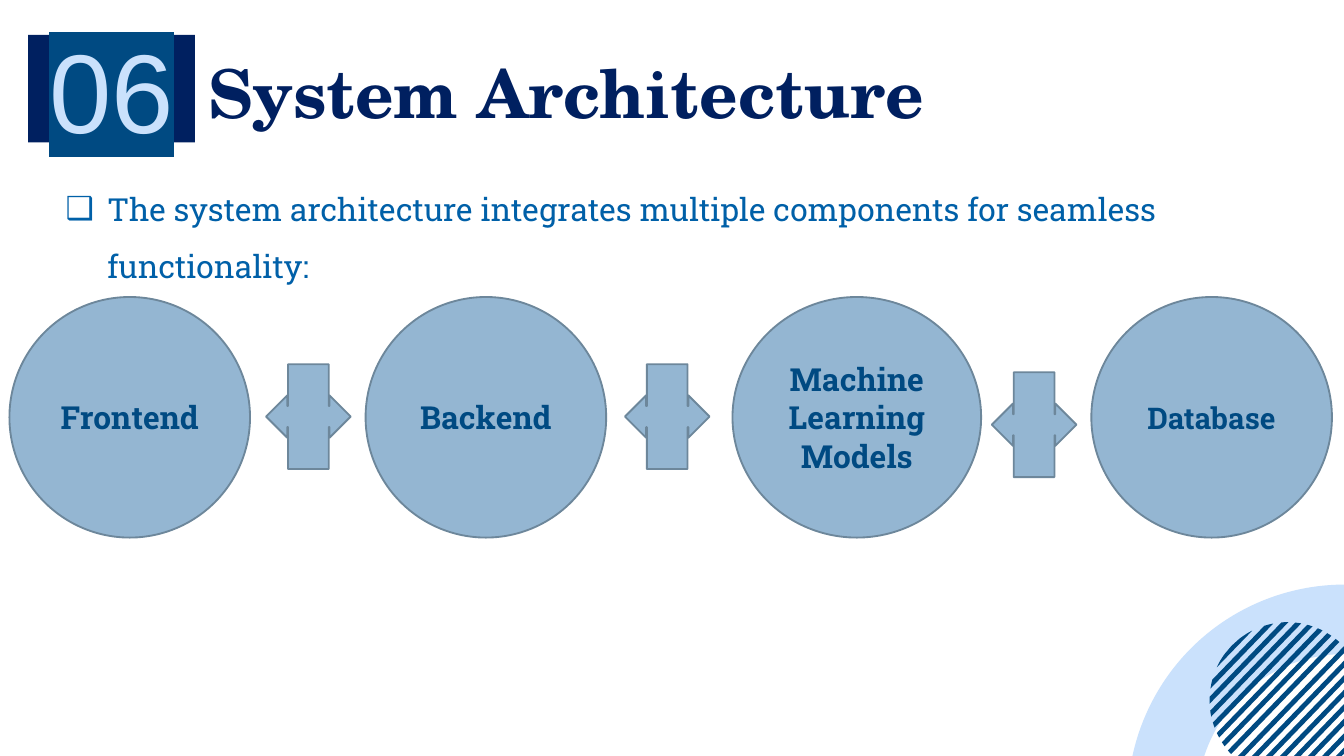
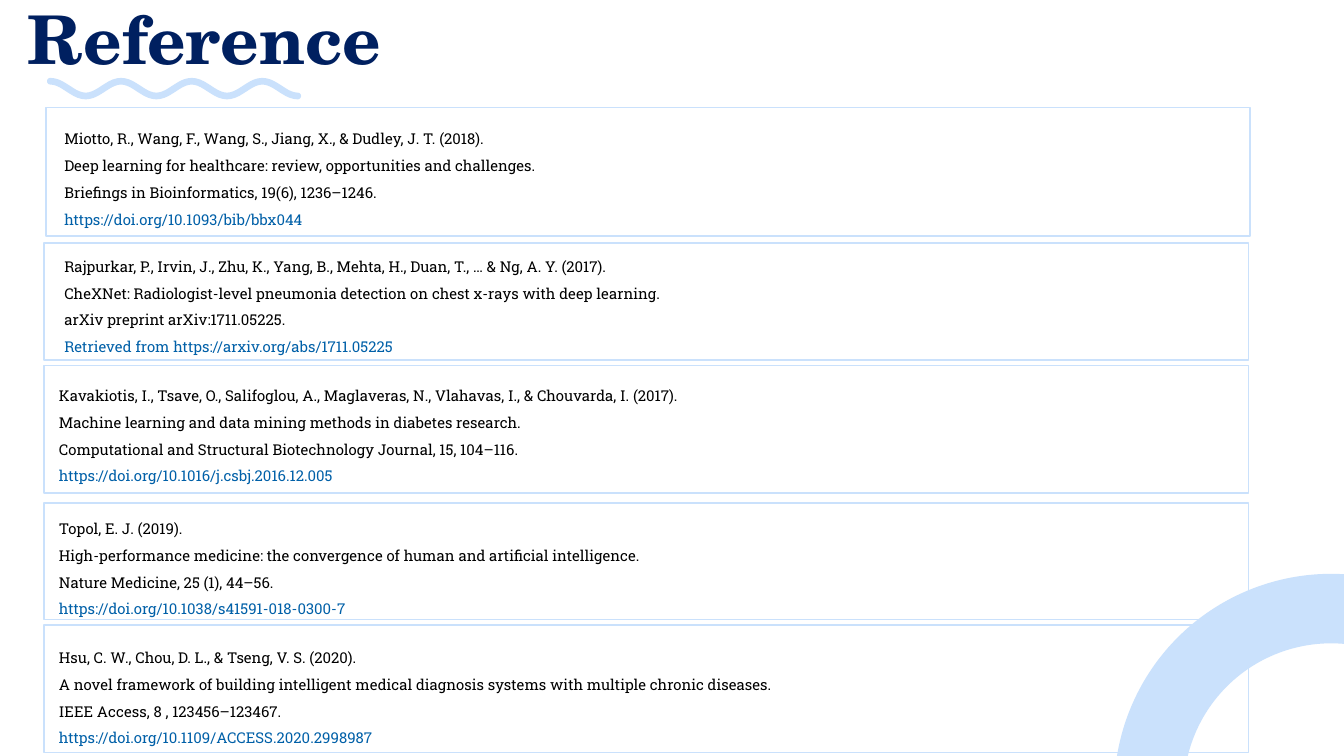
from math import acos, cos, hypot, pi, radians, sin

from lxml.etree import SubElement
from pptx import Presentation
from pptx.dml.color import RGBColor
from pptx.enum.shapes import MSO_SHAPE as Kind
from pptx.enum.text import MSO_ANCHOR as Anchor, MSO_AUTO_SIZE as AutoSize, PP_ALIGN as Align
from pptx.oxml.ns import qn
from pptx.util import Pt

PX = 9144
NAVY, DEEP, BLUE, PALE = "002060", "004A82", "0060A8", "CAE1FC"
STEEL, SLATE, BLACK = "94B6D2", "6D879B", "000000"
SLAB, SERIF, SANS = "Roboto Slab", "TeX Gyre Schola", "Arial"
colour = RGBColor.from_string


def paint(shape, fill=None, line=None):
    shape.shadow.inherit = False
    if fill:
        shape.fill.solid()
        shape.fill.fore_color.rgb = colour(fill)
    else:
        shape.fill.background()
    if line:
        shape.line.color.rgb = colour(line)
        shape.line.width = Pt(1)
    else:
        shape.line.fill.background()


def write(shape, text, size, font, ink, bold=False, align=None, spacing=None, inset=None):
    frame = shape.text_frame
    frame.word_wrap = True
    if inset is not None:
        frame.margin_left = frame.margin_right = inset * PX
        frame.margin_top = frame.margin_bottom = inset * PX
    frame.text = text
    for para in frame.paragraphs:
        para.alignment = align
        para.line_spacing = spacing
        for span in para.runs:
            span.font.size = Pt(size)
            span.font.name = font
            span.font.bold = bold
            span.font.color.rgb = colour(ink)
    return frame


deck = Presentation()
deck.slide_width = 1000 * PX
deck.slide_height = deck.slide_width * 9 // 16

pages = []
for title, title_box, ring_box in (
    ("System Architecture", (145, 35, 553, 63), (839, 435, 323, 323)),
    ("Reference", (11, -5, 419, 63), (829, 427, 323, 323)),
):
    page = deck.slides.add_slide(deck.slide_layouts[6])
    ring = page.shapes.add_shape(Kind.DONUT, *(n * PX for n in ring_box))
    ring.adjustments[0] = 0.16
    paint(ring, PALE)
    heading = page.shapes.add_textbox(*(n * PX for n in title_box))
    write(heading, title, 36, SERIF, NAVY, bold=True, spacing=0.9, inset=10)
    pages.append(page)
architecture, reference = pages

components = (
    ("Frontend", 7, 179, 17),
    ("Backend", 272, 179, 17),
    ("Machine Learning Models", 545, 185, 17),
    ("Database", 812, 179, 16),
)
for name, left, width, size in components:
    circle = architecture.shapes.add_shape(Kind.OVAL, left * PX, 221 * PX, width * PX, 179 * PX)
    paint(circle, STEEL, SLATE)
    frame = write(circle, name, size, SLAB, DEEP, bold=True, align=Align.CENTER)
    frame.vertical_anchor = Anchor.MIDDLE

for left, top in ((198, 271), (465, 271), (738, 277)):
    arrow = architecture.shapes.add_shape(
        Kind.LEFT_RIGHT_ARROW_CALLOUT, left * PX, top * PX, 63 * PX, 78 * PX)
    paint(arrow, STEEL, SLATE)

badge = architecture.shapes.add_shape(Kind.RECTANGLE, 21 * PX, 26 * PX, 124 * PX, 80 * PX)
paint(badge, NAVY)
frame = write(badge, "06", 60, SANS, PALE, align=Align.CENTER, inset=10)
frame.vertical_anchor = Anchor.MIDDLE
props = frame.paragraphs[0].runs[0].font._element
highlight = SubElement(props, qn("a:highlight"))
SubElement(highlight, qn("a:srgbClr"), val=DEEP)
props.find(qn("a:latin")).addprevious(highlight)

intro = architecture.shapes.add_textbox(39 * PX, 122 * PX, 976 * PX, 53 * PX)
frame = write(
    intro,
    "The system architecture integrates multiple components for seamless functionality:",
    17, SLAB, BLUE, spacing=1.5)
frame.auto_size = AutoSize.SHAPE_TO_FIT_TEXT
props = frame.paragraphs[0]._p.get_or_add_pPr()
props.set("marL", str(31 * PX))
props.set("indent", str(-31 * PX))
SubElement(props, qn("a:buFont"), typeface=SANS)
SubElement(props, qn("a:buChar"), char="❑")

disc_x, disc_y, radius, tilt = 958, 521, 58, radians(44)
for side in (0, pi):
    for index in range(8):
        inner = 2.3 + 7.5 * index
        outer = min(inner + 3.6, radius)
        spreads = [acos((inner + (outer - inner) * step / 6) / radius) for step in range(7)]
        angles = [tilt + side + spread for spread in spreads]
        angles += [tilt + side - spread for spread in reversed(spreads)]
        points = [(round((disc_x + radius * cos(angle)) * PX),
                   round((disc_y + radius * sin(angle)) * PX)) for angle in angles]
        builder = architecture.shapes.build_freeform(*points[0])
        builder.add_line_segments(points[1:])
        paint(builder.convert_to_shape(), DEEP)

wave_left, wave_width, wave_middle, swing, half = 37.5, 184, 66, 5.5, 2.5
upper, lower = [], []
for step in range(71):
    phase = 7 * pi * step / 70
    x = wave_left + wave_width * step / 70
    y = wave_middle - swing * cos(phase)
    slope = swing * sin(phase) * 7 * pi / wave_width
    length = hypot(1, slope)
    upper.append((x + half * slope / length, y - half / length))
    lower.append((x - half * slope / length, y + half / length))
turns = [pi * step / 8 for step in range(1, 8)]
right_cap = [(wave_left + wave_width + half * sin(turn),
              wave_middle + swing - half * cos(turn)) for turn in turns]
left_cap = [(wave_left - half * sin(turn),
             wave_middle - swing + half * cos(turn)) for turn in turns]
outline = upper + right_cap + lower[::-1] + left_cap
points = [(round(x * PX), round(y * PX)) for x, y in outline]
builder = reference.shapes.build_freeform(*points[0])
builder.add_line_segments(points[1:])
paint(builder.convert_to_shape(), PALE)

citations = (
    ((34, 80, 896, 96), (38, 85, 671, 109),
     "Miotto, R., Wang, F., Wang, S., Jiang, X., & Dudley, J. T. (2018).",
     "Deep learning for healthcare: review, opportunities and challenges.",
     "Briefings in Bioinformatics, 19(6), 1236–1246.",
     "https://doi.org/10.1093/bib/bbx044"),
    ((33, 181, 896, 87), (38, 180, 828, 116),
     "Rajpurkar, P., Irvin, J., Zhu, K., Yang, B., Mehta, H., Duan, T., … & Ng, A. Y. (2017).",
     "CheXNet: Radiologist-level pneumonia detection on chest x-rays with deep learning.",
     "arXiv preprint arXiv:1711.05225.",
     "Retrieved from https://arxiv.org/abs/1711.05225"),
    ((33, 272, 896, 95), (34, 276, 691, 88),
     "Kavakiotis, I., Tsave, O., Salifoglou, A., Maglaveras, N., Vlahavas, I., & Chouvarda, I. (2017).",
     "Machine learning and data mining methods in diabetes research.",
     "Computational and Structural Biotechnology Journal, 15, 104–116.",
     "https://doi.org/10.1016/j.csbj.2016.12.005"),
    ((33, 374, 896, 87), (34, 375, 828, 91),
     "Topol, E. J. (2019).",
     "High-performance medicine: the convergence of human and artificial intelligence.",
     "Nature Medicine, 25 (1), 44–56.",
     "https://doi.org/10.1038/s41591-018-0300-7"),
    ((33, 465, 896, 95), (34, 471, 691, 91),
     "Hsu, C. W., Chou, D. L., & Tseng, V. S. (2020).",
     "A novel framework of building intelligent medical diagnosis systems with multiple chronic diseases.",
     "IEEE Access, 8 , 123456–123467.",
     "https://doi.org/10.1109/ACCESS.2020.2998987"),
)
for border_box, text_box, *lines in citations:
    border = reference.shapes.add_shape(Kind.RECTANGLE, *(n * PX for n in border_box))
    paint(border, line=PALE)
    entry = reference.shapes.add_textbox(*(n * PX for n in text_box))
    frame = write(entry, "\n".join(lines), 8, SLAB, BLACK, spacing=1.5)
    frame.auto_size = AutoSize.SHAPE_TO_FIT_TEXT
    frame.paragraphs[-1].runs[0].font.color.rgb = colour(BLUE)

deck.save("out.pptx")
